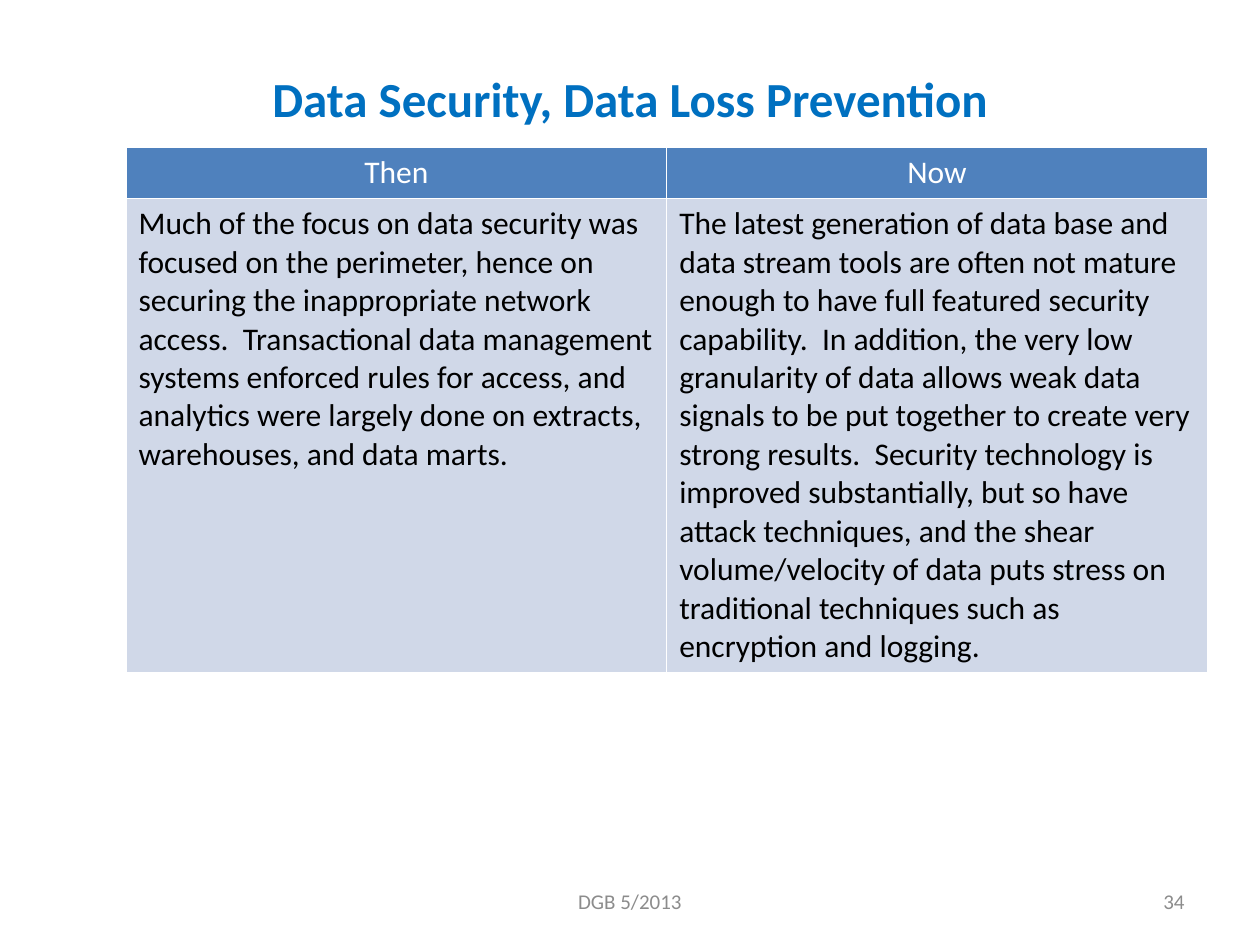
from lxml import etree
from pptx import Presentation
from pptx.dml.color import RGBColor
from pptx.enum.text import MSO_ANCHOR, PP_ALIGN
from pptx.oxml.ns import qn
from pptx.util import Cm, Pt

LEFT, CENTER, RIGHT = PP_ALIGN.LEFT, PP_ALIGN.CENTER, PP_ALIGN.RIGHT
MIDDLE = MSO_ANCHOR.MIDDLE
TITLE_ONLY = 5


def format_paragraph(paragraph, size, color, alignment, bold=False):
    paragraph.alignment = alignment
    font = paragraph.font
    font.name = "Calibri"
    font.size = Pt(size)
    font.bold = bold
    font.color.rgb = RGBColor.from_string(color)


def add_white_borders(cell):
    """Draw 1 pt white borders; they must precede the fill in tcPr."""
    properties = cell._tc.get_or_add_tcPr()
    for index, side in enumerate(("lnL", "lnR", "lnT", "lnB")):
        line = etree.Element(qn(f"a:{side}"), w=str(Pt(1)))
        fill = etree.SubElement(line, qn("a:solidFill"))
        etree.SubElement(fill, qn("a:srgbClr"), val="FFFFFF")
        properties.insert(index, line)


presentation = Presentation()
presentation.slide_width = Cm(25.4)
presentation.slide_height = Cm(19.05)
slide = presentation.slides.add_slide(presentation.slide_layouts[TITLE_ONLY])

title = slide.shapes.title
title.left, title.top, title.width, title.height = Cm(1.27), Cm(0), Cm(22.86), Cm(3.18)
title.text_frame.text = "Data Security, Data Loss Prevention"
title.text_frame.vertical_anchor = MIDDLE
title.text_frame.margin_top = Cm(0.91)
format_paragraph(title.text_frame.paragraphs[0], 28, "0070C0", CENTER, bold=True)

rows = [
    ("Then", "Now"),
    (
        "Much of the focus on data security was focused on the perimeter, hence on "
        "securing the inappropriate network access.  Transactional data management "
        "systems enforced rules for access, and analytics were largely done on "
        "extracts, warehouses, and data marts.",
        "The latest generation of data base and data stream tools are often not "
        "mature enough to have full featured security capability.  In addition, the "
        "very low granularity of data allows weak data signals to be put together to "
        "create very strong results.  Security technology is improved substantially, "
        "but so have attack techniques, and the shear volume/velocity of data puts "
        "stress on traditional techniques such as encryption and logging.",
    ),
]
row_styles = [
    (Cm(1), "4F81BD", "FFFFFF", CENTER),
    (Cm(9.5), "D0D8E8", "000000", LEFT),
]
table = slide.shapes.add_table(2, 2, Cm(2.54), Cm(2.97), Cm(21.8), Cm(10.5)).table
for row, texts, (height, fill_color, text_color, alignment) in zip(table.rows, rows, row_styles):
    row.height = height
    for cell, text in zip(row.cells, texts):
        cell.text = text
        cell.fill.solid()
        cell.fill.fore_color.rgb = RGBColor.from_string(fill_color)
        add_white_borders(cell)
        format_paragraph(cell.text_frame.paragraphs[0], 18, text_color, alignment)

footers = [
    ("DGB 5/2013", Cm(8.68), Cm(8.04), CENTER),
    ("34", Cm(18.2), Cm(5.93), RIGHT),
]
for text, left, width, alignment in footers:
    footer = slide.shapes.add_textbox(left, Cm(17.66), width, Cm(1.01))
    footer.text_frame.word_wrap = True
    footer.text_frame.vertical_anchor = MIDDLE
    footer.text_frame.text = text
    format_paragraph(footer.text_frame.paragraphs[0], 12, "8C8C8C", alignment)

presentation.save("out.pptx")
